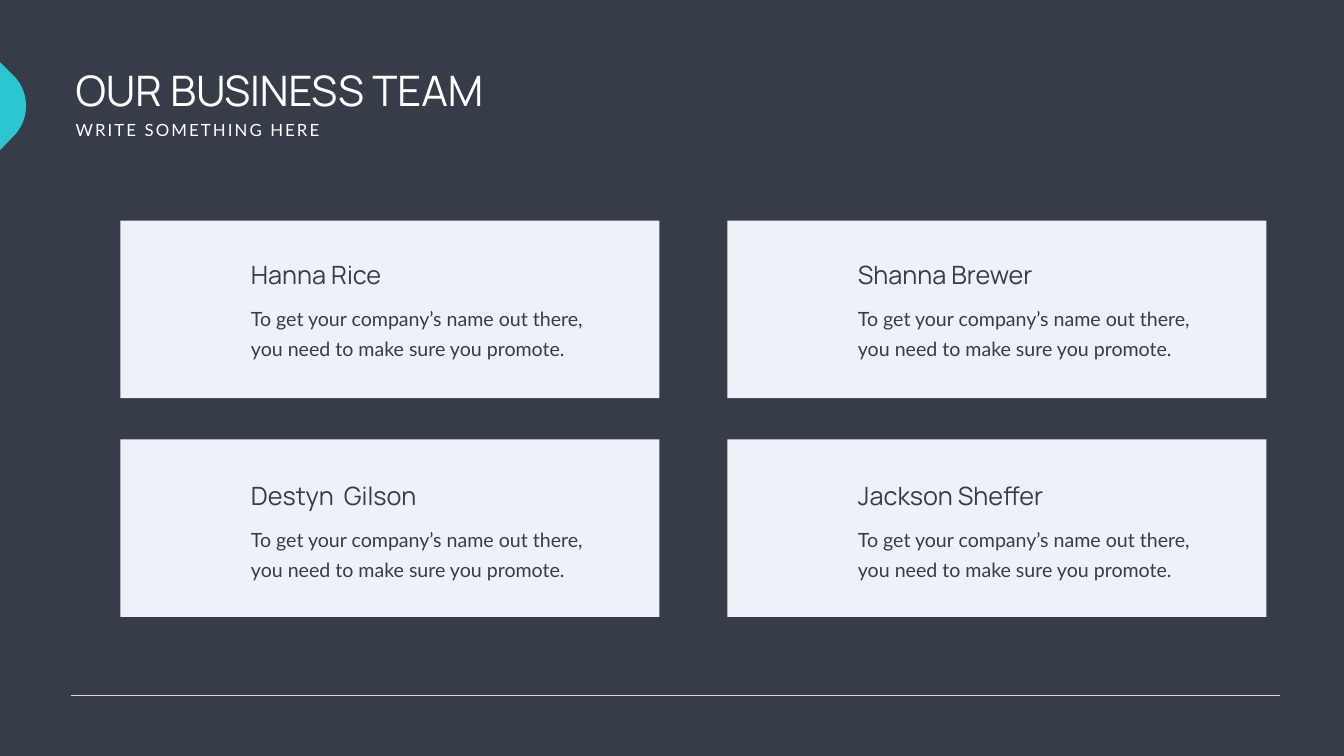
from dataclasses import dataclass

from lxml.etree import SubElement
from pptx import Presentation
from pptx.dml.color import RGBColor
from pptx.enum.shapes import MSO_CONNECTOR, MSO_SHAPE
from pptx.enum.text import MSO_AUTO_SIZE
from pptx.oxml.ns import qn
from pptx.util import Pt

DARK, PALE, WHITE, TEAL, GREY = "363D48", "EFF1F8", "FFFFFF", "2CC5D2", "D9D9D9"
HEAD, BODY = "Manrope", "Lato"
BLURB = "To get your company’s name out there, you need to make sure you promote."

LEFT, TOP = 172.08, 315.36
WIDTH, HEIGHT = 769.68, 253.44
COL_STEP, ROW_STEP = 866.88, 312.48
TEXT_LEFT, NAME_TOP, BLURB_TOP = 351.36, 366.48, 424.8
TEXT_STEP = 316.8


@dataclass
class Member:
    name: str
    col: int
    row: int


@dataclass
class Style:
    font: str
    size: float
    color: str
    line: float = 0
    track: int = 0
    wrap: bool = True


TEAM = [
    Member("Hanna Rice", 0, 0),
    Member("Shanna Brewer", 1, 0),
    Member("Destyn  Gilson", 0, 1),
    Member("Jackson Sheffer", 1, 1),
]
TITLE = Style(HEAD, 60, WHITE)
TAGLINE = Style(BODY, 24, WHITE, track=300, wrap=False)
NAME = Style(HEAD, 36, DARK)
NOTE = Style(BODY, 28, DARK, line=43)


def paint(format, color: str) -> None:
    format.solid()
    format.fore_color.rgb = RGBColor.from_string(color)


def finish(shape, color: str) -> None:
    """Give a shape a flat fill with no outline or shadow."""
    shape.shadow.inherit = False
    paint(shape.fill, color)
    shape.line.fill.background()


def write(slide, text: str, x: float, y: float, w: float, h: float, style: Style) -> None:
    frame = slide.shapes.add_textbox(Pt(x), Pt(y), Pt(w), Pt(h)).text_frame
    frame.word_wrap = style.wrap
    frame.auto_size = MSO_AUTO_SIZE.SHAPE_TO_FIT_TEXT
    para = frame.paragraphs[0]
    if style.line:
        para.line_spacing = Pt(style.line)
    run = para.add_run()
    run.text = text
    run.font.name = style.font
    run.font.size = Pt(style.size)
    paint(run.font.fill, style.color)
    if style.track:
        run.font._element.set("spc", str(style.track))


def draw_rule(slide) -> None:
    rule = slide.shapes.add_connector(
        MSO_CONNECTOR.STRAIGHT, Pt(100.8), Pt(992.88), Pt(1828.8), Pt(992.88)
    )
    paint(rule.line.fill, GREY)
    rule.line.width = Pt(0.5)
    SubElement(rule._element.spPr, qn("a:effectLst"))


def draw_tab(slide) -> None:
    """Draw the rounded tab on the left edge, its tip a cubic curve."""
    near, far, top, low, high, end = 19.44, 43.2, 108, 131.76, 170.64, 194.4
    steps = 24
    curve = []
    for i in range(steps + 1):
        t = i / steps
        u = 1 - t
        bulge = 3 * u * t
        x = near * (1 - bulge) + far * bulge
        y = top * u**3 + low * bulge * u + high * bulge * t + end * t**3
        curve.append((Pt(x), Pt(y)))
    path = slide.shapes.build_freeform(Pt(0), Pt(88.56))
    path.add_line_segments([*curve, (Pt(0), Pt(214.56))], close=True)
    finish(path.convert_to_shape(), TEAL)


def draw_card(slide, who: Member) -> None:
    shift = who.col * COL_STEP
    card = slide.shapes.add_shape(
        MSO_SHAPE.RECTANGLE,
        Pt(LEFT + shift), Pt(TOP + who.row * ROW_STEP), Pt(WIDTH), Pt(HEIGHT),
    )
    finish(card, PALE)
    x, drop = TEXT_LEFT + shift, who.row * TEXT_STEP
    write(slide, who.name, x, NAME_TOP + drop, 374.4, 51.12, NAME)
    write(slide, BLURB, x, BLURB_TOP + drop, 511.2, 90, NOTE)


def main() -> None:
    deck = Presentation()
    deck.slide_width, deck.slide_height = Pt(1919.52), Pt(1080)
    slide = deck.slides.add_slide(deck.slide_layouts[6])
    paint(slide.background.fill, DARK)
    draw_rule(slide)
    write(slide, "OUR BUSINESS TEAM", 100.8, 89.28, 1156.32, 79.92, TITLE)
    write(slide, "WRITE SOMETHING HERE", 100.8, 167.76, 370.08, 36, TAGLINE)
    draw_tab(slide)
    for who in TEAM:
        draw_card(slide, who)
    deck.save("out.pptx")


if __name__ == "__main__":
    main()
